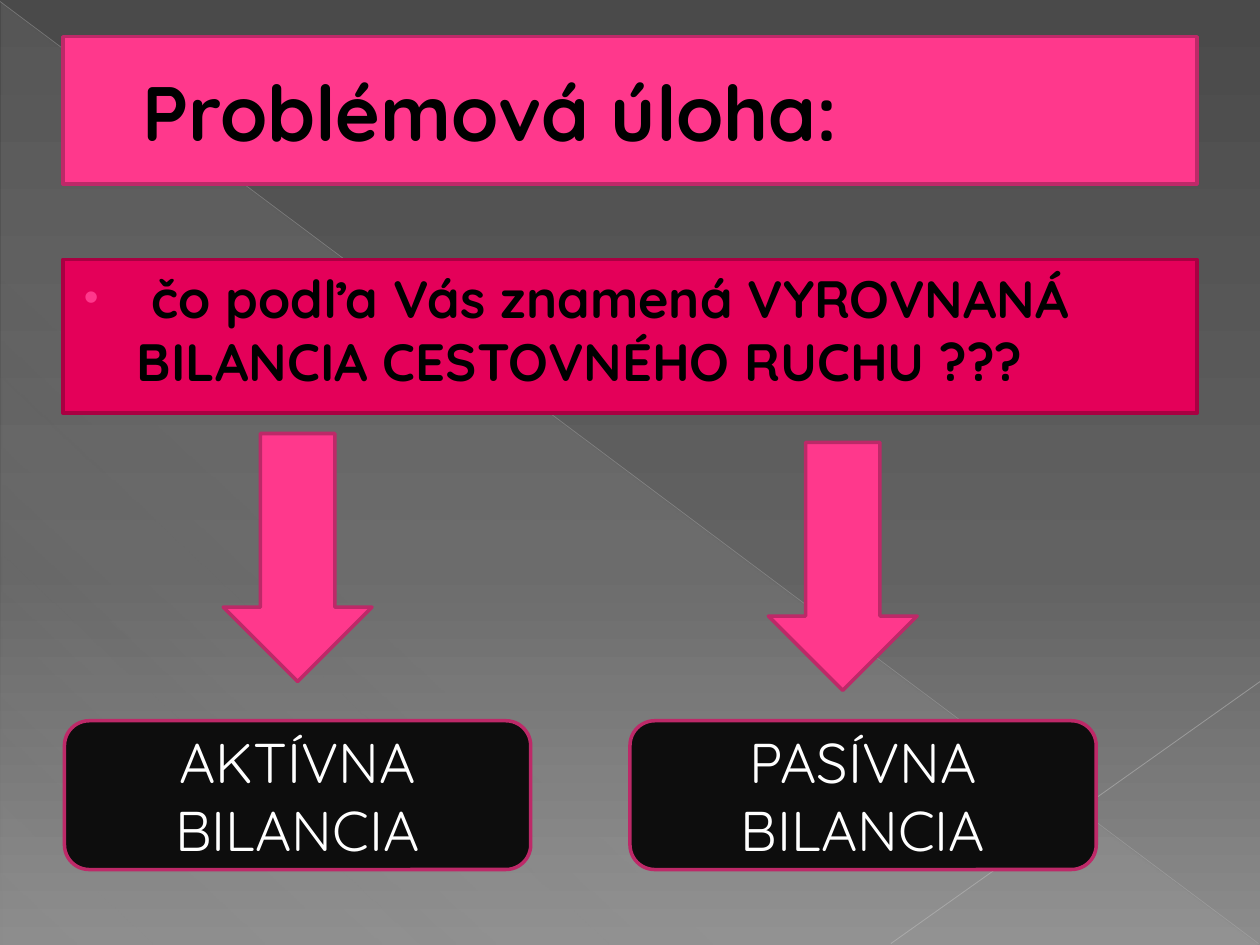
from dataclasses import dataclass

from lxml.etree import SubElement
from pptx import Presentation
from pptx.dml.color import RGBColor
from pptx.enum.shapes import MSO_CONNECTOR as Connector, MSO_SHAPE as Shape
from pptx.enum.text import MSO_ANCHOR as Anchor, PP_ALIGN as Align
from pptx.oxml.ns import qn
from pptx.util import Cm, Pt


@dataclass(frozen=True)
class Theme:
    font: str = "Quicksand"
    pink: str = "FF388C"
    pink_edge: str = "BD2968"
    crimson: str = "E40059"
    crimson_edge: str = "A90042"
    text_edge: str = "B12761"
    panel: str = "0D0D0D"
    dark_text: str = "000000"
    light_text: str = "FFFFFF"
    backdrop: tuple = ((0, "4A4A4A", 100), (60, "626262", 100), (100, "8C8C8C", 100))
    sheen: tuple = ((0, "D2D2D2", 10), (70, "D2D2D2", 8), (100, "D2D2D2", 1))
    title_size: int = 44
    question_size: int = 30
    answer_size: int = 32
    edge_width: float = 2


THEME = Theme()
TITLE = "Problémová úloha:"
QUESTION = " čo podľa Vás znamená VYROVNANÁ BILANCIA CESTOVNÉHO RUCHU ???"
ANSWERS = [
    {"text": "AKTÍVNA BILANCIA", "left": 1.3, "arrow": (4.5, 8.74)},
    {"text": "PASÍVNA BILANCIA", "left": 12.7, "arrow": (15.49, 8.92)},
]
RAYS = [
    ((0, 0.03, 25.37, 19.02), "BFBFBF", 0.39, 35),
    ((25.4, 13.74, 17.96, 19.02), "C6C6C6", 0.47, 45),
]
BANNER_LEFT, BANNER_WIDTH = 1.27, 22.86
ARROW_SIZE = (3, 5)
ANSWER_TOP, ANSWER_SIZE = 14.53, (9.4, 3)


def add_element(parent, tag, **attributes):
    return SubElement(parent, qn(tag), {key: str(value) for key, value in attributes.items()})


def add_color(parent, color, opacity=100):
    element = add_element(parent, "a:srgbClr", val=color)
    if opacity < 100:
        add_element(element, "a:alpha", val=opacity * 1000)


def set_gradient(fill, owner, stops, angle):
    fill.gradient()
    gradient = next(owner.iter(qn("a:gradFill")))
    for child in list(gradient):
        gradient.remove(child)
    stop_list = add_element(gradient, "a:gsLst")
    for position, color, opacity in stops:
        add_color(add_element(stop_list, "a:gs", pos=position * 1000), color, opacity)
    add_element(gradient, "a:lin", ang=angle * 60000, scaled=0)


def add_box(page, kind, frame, fill, edge):
    box = page.shapes.add_shape(kind, *map(Cm, frame))
    box.shadow.inherit = False
    box.fill.solid()
    box.fill.fore_color.rgb = RGBColor.from_string(fill)
    box.line.color.rgb = RGBColor.from_string(edge)
    box.line.width = Pt(THEME.edge_width)
    return box


def write(box, text, size, color, bold=False, align=Align.LEFT, anchor=Anchor.MIDDLE):
    box.text_frame.text = text
    box.text_frame.word_wrap = True
    box.text_frame.vertical_anchor = anchor
    para = box.text_frame.paragraphs[0]
    para.alignment = align
    span = para.runs[0]
    span.font.name = THEME.font
    span.font.size = Pt(size)
    span.font.bold = bold
    span.font.color.rgb = RGBColor.from_string(color)
    return para


def set_indent(para, left, first=0):
    properties = para._p.get_or_add_pPr()
    properties.set("marL", str(Cm(left)))
    properties.set("indent", str(Cm(first)))
    return properties


def add_bullet(properties, symbol, color, percent):
    add_color(add_element(properties, "a:buClr"), color)
    add_element(properties, "a:buSzPct", val=percent * 1000)
    add_element(properties, "a:buFont", typeface="Arial")
    add_element(properties, "a:buChar", char=symbol)


def outline_text(span, color, width):
    properties = span.font._element
    outline = add_element(properties, "a:ln", w=Pt(width))
    add_color(add_element(outline, "a:solidFill"), color)
    properties.insert(0, outline)


def add_backdrop(page):
    set_gradient(page.background.fill, page.element, THEME.backdrop, 90)
    triangle = page.shapes.add_shape(Shape.RIGHT_TRIANGLE, *map(Cm, (0.03, 0.05, 25.35, 19)))
    triangle.shadow.inherit = False
    triangle.line.fill.background()
    set_gradient(triangle.fill, triangle.element, THEME.sheen, 133)
    for ends, color, width, opacity in RAYS:
        ray = page.shapes.add_connector(Connector.STRAIGHT, *map(Cm, ends))
        ray.line.color.rgb = RGBColor.from_string(color)
        ray.line.width = Pt(width)
        tint = next(ray.element.iter(qn("a:srgbClr")))
        add_element(tint, "a:alpha", val=opacity * 1000)
        add_element(ray.element.spPr, "a:effectLst")


def add_banners(page):
    title = add_box(page, Shape.RECTANGLE, (BANNER_LEFT, 0.74, BANNER_WIDTH, 2.97),
                    THEME.pink, THEME.pink_edge)
    para = write(title, TITLE, THEME.title_size, THEME.dark_text, bold=True)
    set_indent(para, 1.35)
    outline_text(para.runs[0], THEME.text_edge, 0.5)

    question = add_box(page, Shape.RECTANGLE, (BANNER_LEFT, 5.23, BANNER_WIDTH, 3.1),
                       THEME.crimson, THEME.crimson_edge)
    para = write(question, QUESTION, THEME.question_size, THEME.dark_text,
                 bold=True, anchor=Anchor.TOP)
    add_bullet(set_indent(para, 1.24, -1.07), "•", THEME.pink, 80)


def add_answers(page):
    for answer in ANSWERS:
        add_box(page, Shape.DOWN_ARROW, (*answer["arrow"], *ARROW_SIZE),
                THEME.pink, THEME.pink_edge)
        box = add_box(page, Shape.ROUNDED_RECTANGLE,
                      (answer["left"], ANSWER_TOP, *ANSWER_SIZE), THEME.panel, THEME.pink_edge)
        write(box, answer["text"], THEME.answer_size, THEME.light_text, align=Align.CENTER)


def main():
    deck = Presentation()
    deck.slide_width, deck.slide_height = Cm(25.4), Cm(19.05)
    page = deck.slides.add_slide(deck.slide_layouts[6])
    add_backdrop(page)
    add_banners(page)
    add_answers(page)
    deck.save("out.pptx")


if __name__ == "__main__":
    main()
